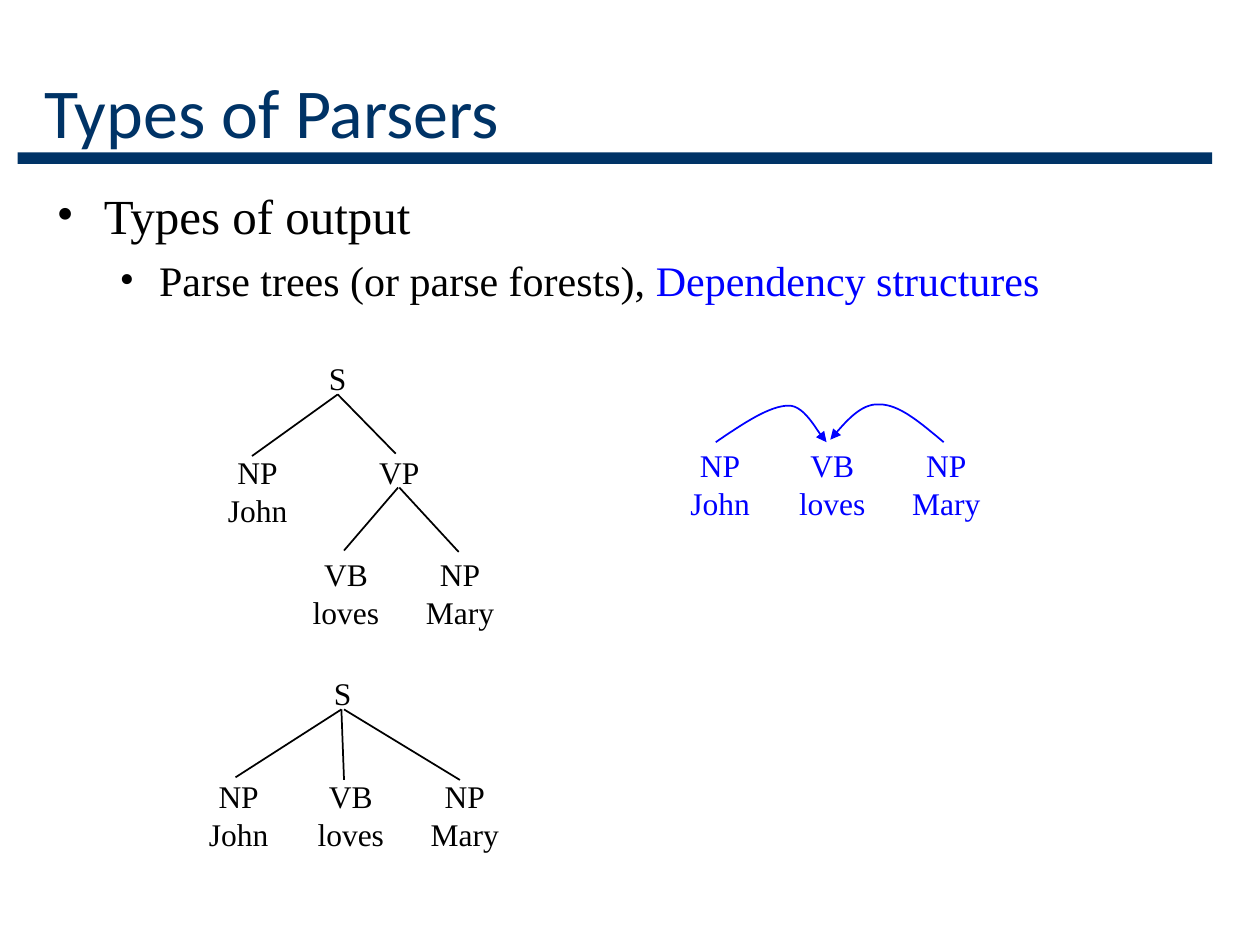
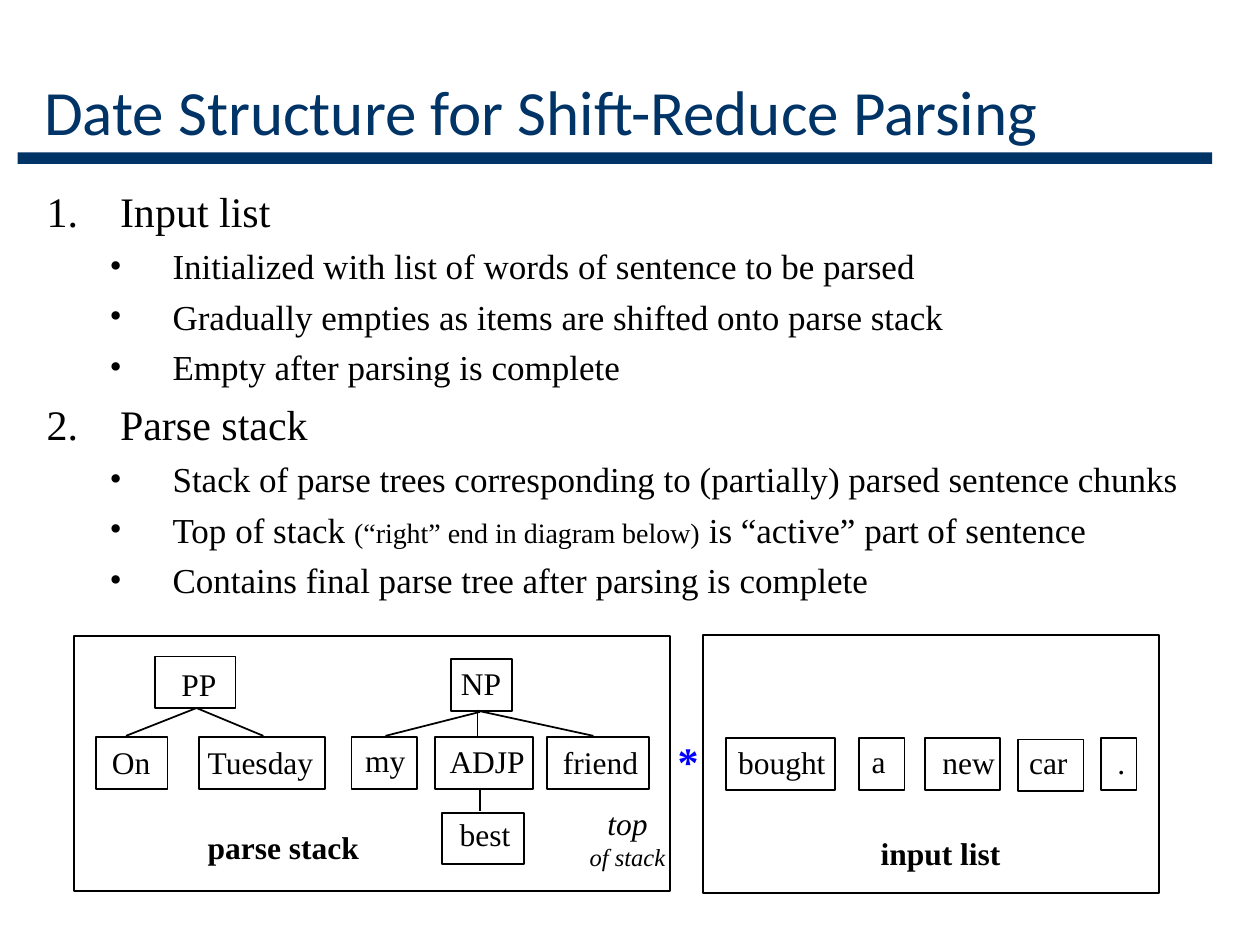
import pptx
import pptx.dml.color
import pptx.enum.shapes
import pptx.enum.text
import pptx.oxml
import pptx.oxml.ns
import pptx.util
from lxml import etree

Pt = pptx.util.Pt
RGBColor = pptx.dml.color.RGBColor
MSO_SHAPE = pptx.enum.shapes.MSO_SHAPE
PP_ALIGN = pptx.enum.text.PP_ALIGN
ANCHOR = pptx.enum.text.MSO_ANCHOR
qn = pptx.oxml.ns.qn

NAVY = RGBColor(0x00, 0x33, 0x66)
BLACK = RGBColor(0x00, 0x00, 0x00)
BLUE = RGBColor(0x00, 0x00, 0xFF)
TITLE_FONT = "Calibri"
BODY_FONT = "Times New Roman"

BULLET = ("buChar", {"char": "•"})
NUMBER = ("buAutoNum", {"type": "arabicPeriod"})
LEAVES = {"John": ("NP", 48.2), "loves": ("VB", 52.6), "Mary": ("NP", 53.3)}
LEAF_OFFSETS = {"John": 0, "loves": 61.9, "Mary": 126.7}
BOX_HEIGHT = 29.5


def bezier(p0, p1, p2, p3, steps=16):
    for i in range(1, steps + 1):
        t = i / steps
        u = 1 - t
        yield tuple(u**3 * a + 3 * u * u * t * b + 3 * u * t * t * c + t**3 * d
                    for a, b, c, d in zip(p0, p1, p2, p3))


class Deck:
    def __init__(self):
        self.prs = pptx.Presentation()
        self.prs.slide_width = Pt(720)
        self.prs.slide_height = Pt(540)
        self.s = None

    def place(self, sp, x, y, w, h):
        sp.left, sp.top, sp.width, sp.height = Pt(x), Pt(y), Pt(w), Pt(h)

    def run(self, p, text, size, color=BLACK, font=BODY_FONT, bold=False, italic=False):
        r = p.add_run()
        r.text = text
        f = r.font
        f.name, f.size, f.bold, f.italic = font, Pt(size), bold, italic
        f.color.rgb = color

    def slide(self, title, size):
        self.s = self.prs.slides.add_slide(self.prs.slide_layouts[1])
        sp = self.s.shapes.title
        self.place(sp, 18, 30.2, 666, 66.2)
        tf = sp.text_frame
        tf.auto_size = pptx.enum.text.MSO_AUTO_SIZE.NONE
        tf.vertical_anchor = ANCHOR.MIDDLE
        p = tf.paragraphs[0]
        p.alignment = PP_ALIGN.LEFT
        self.run(p, title, size, NAVY, TITLE_FONT)
        band = self.rect(10.1, 87.1, 682.6, 6.5, fill=NAVY)
        self.s.shapes.title._element.addprevious(band._element)

    def outline(self, at, levels, items):
        sp = self.s.placeholders[1]
        self.place(sp, *at)
        tf = sp.text_frame
        tf.auto_size = pptx.enum.text.MSO_AUTO_SIZE.NONE
        for i, (level, *runs) in enumerate(items):
            p = tf.add_paragraph() if i else tf.paragraphs[0]
            size, before, margin, indent, (tag, attrs) = levels[level]
            p.level = level
            p.space_before = Pt(before)
            pPr = p._p.get_or_add_pPr()
            pPr.set("marL", str(Pt(margin)))
            pPr.set("indent", str(Pt(indent)))
            clr = etree.SubElement(pPr, qn("a:buClr"))
            etree.SubElement(clr, qn("a:srgbClr"), val=str(BLACK))
            etree.SubElement(pPr, qn("a:buFont"), typeface=BODY_FONT)
            etree.SubElement(pPr, qn("a:" + tag), attrs)
            for text, *style in runs:
                self.run(p, text, *(style or [size]))

    def rect(self, x, y, w, h, fill=None):
        sp = self.s.shapes.add_shape(MSO_SHAPE.RECTANGLE, Pt(x), Pt(y), Pt(w), Pt(h))
        sp.shadow.inherit = False
        if fill is None:
            sp.fill.background()
            sp.line.color.rgb = BLACK
            sp.line.width = Pt(1)
        else:
            sp.fill.solid()
            sp.fill.fore_color.rgb = fill
            sp.line.fill.background()
        return sp

    def label(self, lines, x, y, w, h=28.8, sizes=(18, 18), centered=False, **style):
        tf = self.s.shapes.add_textbox(Pt(x), Pt(y), Pt(w), Pt(h)).text_frame
        tf.word_wrap = not centered
        if not centered:
            tf.margin_right = 0
        for i, (text, size) in enumerate(zip(lines, sizes)):
            p = tf.add_paragraph() if i else tf.paragraphs[0]
            p.alignment = PP_ALIGN.CENTER if centered else PP_ALIGN.LEFT
            self.run(p, text, size, **style)

    def leaf(self, word, x, y, color=BLACK):
        tag, width = LEAVES[word]
        self.label([tag, word], x, y, width, 50.4, centered=True, color=color)

    def leaf_row(self, x, y, color=BLACK):
        for word, offset in LEAF_OFFSETS.items():
            self.leaf(word, x + offset, y, color)

    def line(self, x1, y1, x2, y2):
        c = self.s.shapes.add_connector(
            pptx.enum.shapes.MSO_CONNECTOR.STRAIGHT, Pt(x1), Pt(y1), Pt(x2), Pt(y2))
        c.line.color.rgb = BLACK
        c.line.width = Pt(1)
        etree.SubElement(c._element.spPr, qn("a:effectLst"))

    def curved_arrow(self, pts):
        fb = self.s.shapes.build_freeform(Pt(pts[0][0]), Pt(pts[0][1]))
        curve = [*bezier(*pts[:4]), *bezier(*pts[3:])]
        fb.add_line_segments([(Pt(x), Pt(y)) for x, y in curve], close=False)
        sp = fb.convert_to_shape()
        sp.shadow.inherit = False
        sp.fill.background()
        sp.line.color.rgb = BLUE
        sp.line.width = Pt(1)
        etree.SubElement(sp.line._get_or_add_ln(), qn("a:tailEnd"), type="triangle")

    def token(self, text, x, y, w, box_x, box_y, box_w):
        self.label([text], x, y, w)
        self.rect(box_x, box_y, box_w, BOX_HEIGHT)


def parser_types(deck):
    deck.slide("Types of Parsers", 40)
    deck.outline((25.2, 102.2, 694.8, 405.4),
                 [(28, 7, 27, -27, BULLET), (24, 6, 58.5, -22.5, BULLET)],
                 [(0, ("Types of output",)),
                  (1, ("Parse trees (or parse forests), ",),
                   ("Dependency structures", 24, BLUE))])

    deck.leaf_row(387.4, 251.3, BLUE)
    deck.curved_arrow([(409, 252.7), (424.8, 241.9), (439.9, 231.8), (450.7, 231.8),
                       (460.8, 231.8), (468, 249.1), (472.3, 252.7)])
    deck.curved_arrow([(539.3, 252.7), (526.3, 241.9), (514.1, 231.1), (502.6, 231.1),
                       (491.8, 230.4), (483.1, 241.2), (474.5, 251.3)])

    deck.label(["S"], 180.7, 201.6, 24.5, centered=True)
    deck.label(["VP"], 209.5, 255.6, 37.4, centered=True)
    deck.leaf("John", 123.1, 255.6)
    deck.leaf("loves", 171.4, 313.9)
    deck.leaf("Mary", 236.2, 313.9)

    deck.label(["S"], 183.6, 381.6, 24.5, centered=True)
    deck.leaf_row(112.3, 440.6)

    for branch in [(193, 225.4, 144, 260.6), (193, 225.4, 226.1, 259.2),
                   (227.5, 278.6, 196.6, 314.6), (228.2, 278.6, 262.1, 315.4),
                   (195.1, 405.4, 134.6, 444.2), (195.1, 405.4, 196.6, 445.7),
                   (196.6, 405.4, 262.8, 445.7)]:
        deck.line(*branch)


def shift_reduce(deck):
    deck.slide("Date Structure for Shift-Reduce Parsing", 36)
    deck.outline((19.4, 102.2, 676.8, 437.8),
                 [(24, 6, 42, -42, NUMBER), (20, 5, 72, -36, BULLET)],
                 [(0, ("Input list",)),
                  (1, ("Initialized with list of words of sentence to be parsed",)),
                  (1, ("Gradually empties as items are shifted onto parse stack",)),
                  (1, ("Empty after parsing is complete",)),
                  (0, ("Parse stack",)),
                  (1, ("Stack of parse trees corresponding to (partially) "
                       "parsed sentence chunks",)),
                  (1, ("Top of stack ",), ("(“right” end in diagram below)", 16),
                   (" is “active” part of sentence",)),
                  (1, ("Contains final parse tree after parsing is complete",))])

    deck.rect(42.5, 363.6, 340.6, 145.4)
    deck.rect(401.8, 362.9, 260.6, 147.6)
    deck.label(["parse stack"], 111.6, 469.4, 100.8, bold=True)
    deck.label(["input list"], 496.1, 473, 82.8, bold=True)
    deck.label(["*"], 380.2, 416.9, 25.9, 36, sizes=[24], color=BLUE, bold=True)
    deck.label(["top", "of stack"], 329.8, 455.8, 57.6, 46.1, sizes=(18, 14),
               centered=True, italic=True)

    for token in [("PP", 96.5, 376.6, 34.6, 88.6, 375.1, 46.1),
                  ("On", 56.9, 421.2, 45.4, 54.7, 421.2, 41),
                  ("Tuesday", 111.6, 421.2, 76.3, 113.8, 421.2, 72),
                  ("NP", 256.3, 375.8, 43.9, 257.8, 376.6, 34.6),
                  ("my", 201.6, 419.8, 39.6, 200.9, 421.2, 37.4),
                  ("ADJP", 249.8, 420.5, 56.9, 248.4, 421.2, 56.2),
                  ("friend", 314.6, 421.2, 72.7, 312.5, 421.2, 58.3),
                  ("best", 255.6, 462.2, 44.6, 252.7, 464.4, 46.8),
                  ("bought", 414.7, 421.2, 69.1, 414.7, 421.9, 62.6),
                  ("a", 491, 420.5, 22.3, 491, 421.9, 25.9),
                  ("new", 531.4, 421.2, 43.9, 528.5, 421.9, 43.2),
                  ("car", 581, 421.2, 36, 581.8, 422.6, 37.4),
                  (".", 631.4, 421.2, 18.7, 629.3, 421.9, 20.2)]:
        deck.token(*token)

    for branch in [(72, 420.5, 112.3, 404.6), (150.5, 420.5, 112.3, 404.6),
                   (220.3, 420.5, 274.3, 406.8), (272.9, 420.5, 272.9, 406.1),
                   (339.1, 420.5, 272.9, 406.1), (274.3, 450, 274.3, 463.7)]:
        deck.line(*branch)


def main():
    deck = Deck()
    parser_types(deck)
    shift_reduce(deck)
    deck.prs.save("out.pptx")


if __name__ == "__main__":
    main()
